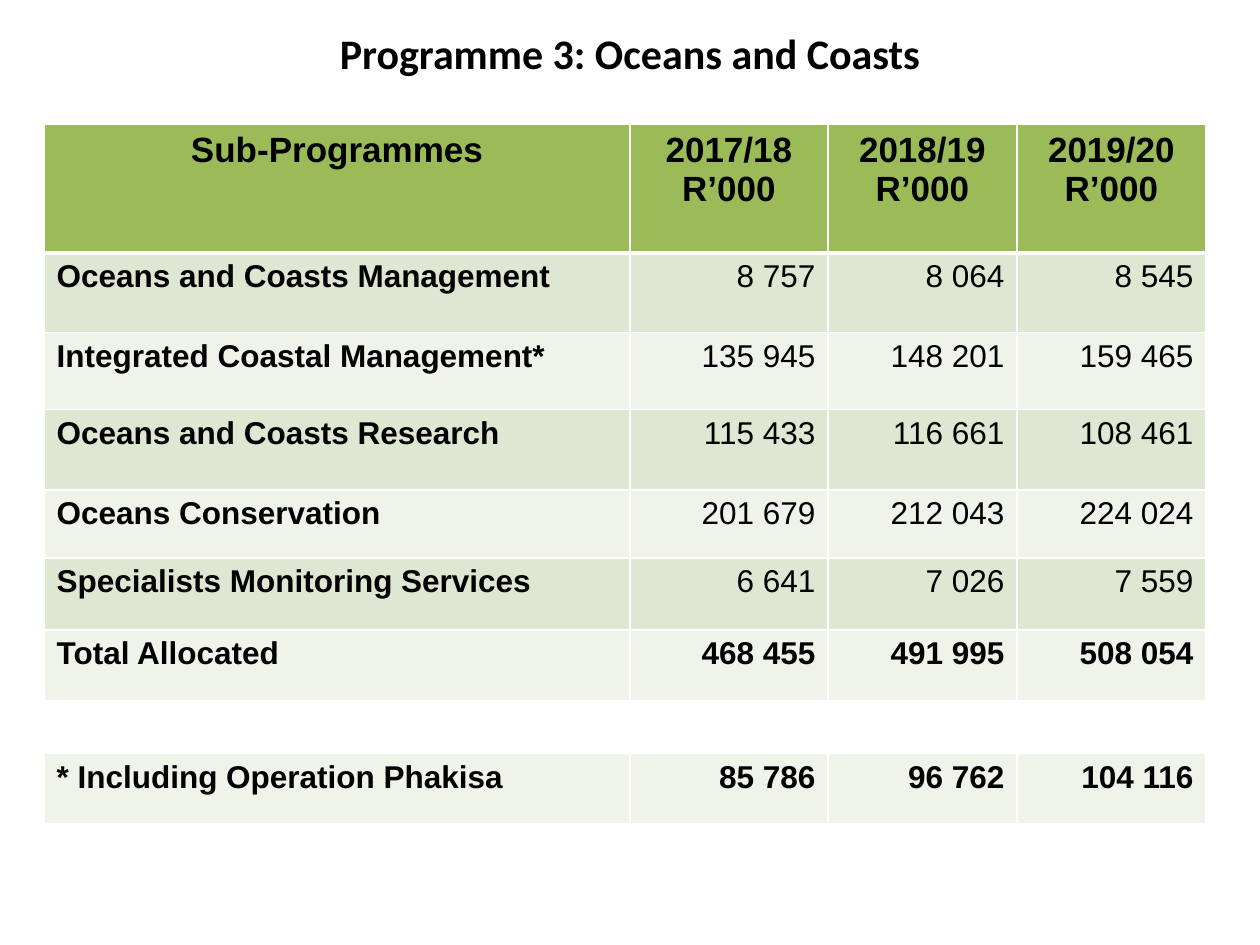
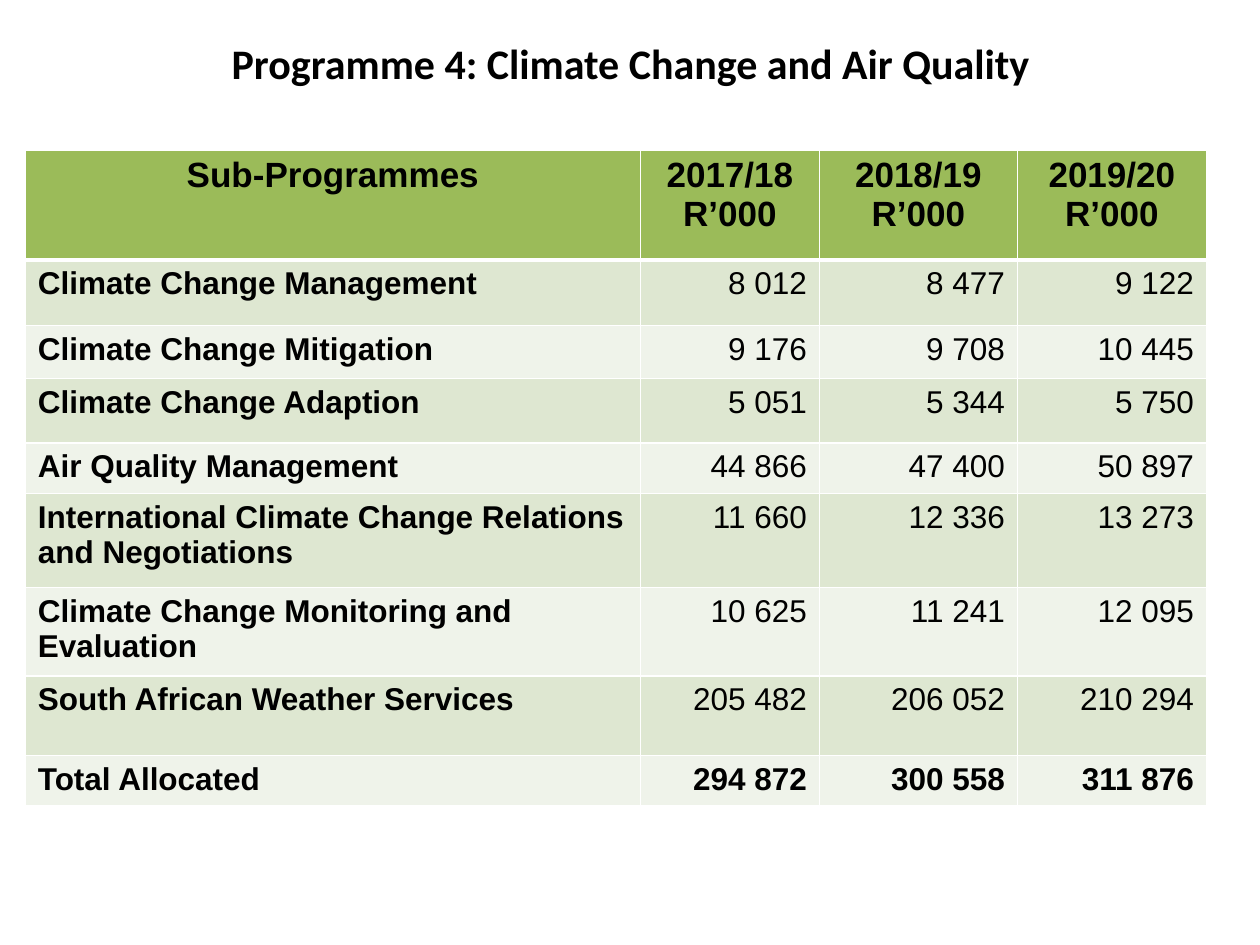
"""Build two budget slides, each with a title and a table of sub-programmes."""
from dataclasses import dataclass

from lxml.etree import SubElement
from pptx import Presentation
from pptx.dml.color import RGBColor as Rgb
from pptx.enum.text import MSO_ANCHOR as Anchor, PP_ALIGN as Align
from pptx.oxml.ns import qn
from pptx.util import Cm, Pt

HUES = {
    "text": "000000",
    "head": "9BBB59",
    "odd": "DEE7D1",
    "even": "EFF3EA",
    "white": "FFFFFF",
}
YEARS = ("2017/18", "2018/19", "2019/20")
UNIT = "R’000"


@dataclass(frozen=True)
class Row:
    high: float
    label: str = ""
    sums: tuple[str, ...] = ("",) * len(YEARS)
    bold: bool = False


@dataclass(frozen=True)
class Page:
    title: str
    box: tuple[float, float, float, float]
    left: float
    top: float
    cols: tuple[float, ...]
    head: float
    rows: tuple[Row, ...]


PAGES = (
    Page(
        "Programme 3: Oceans and Coasts",
        (1.27, 0, 22.86, 2.13), 0.89, 2.51, (11.81, 3.99, 3.81, 3.81), 2.59,
        (
            Row(1.6, "Oceans and Coasts Management", ("8 757", "8 064", "8 545")),
            Row(1.55, "Integrated Coastal Management*", ("135 945", "148 201", "159 465")),
            Row(1.63, "Oceans and Coasts Research", ("115 433", "116 661", "108 461")),
            Row(1.37, "Oceans Conservation", ("201 679", "212 043", "224 024")),
            Row(1.45, "Specialists Monitoring Services", ("6 641", "7 026", "7 559")),
            Row(1.42, "Total Allocated", ("468 455", "491 995", "508 054"), True),
            Row(1.07),
            Row(1.42, "* Including Operation Phakisa", ("85 786", "96 762", "104 116"), True),
        ),
    ),
    Page(
        "Programme 4: Climate Change and Air Quality",
        (0.51, 0, 24.41, 2.51), 0.51, 3.02, (12.4, 3.61, 3.99, 3.81), 2.22,
        (
            Row(1.32, "Climate Change Management", ("8 012", "8 477", "9 122")),
            Row(1.07, "Climate Change Mitigation", ("9 176", "9 708", "10 445")),
            Row(1.3, "Climate Change Adaption", ("5 051", "5 344", "5 750")),
            Row(0.99, "Air Quality Management", ("44 866", "47 400", "50 897")),
            Row(1.9, "International Climate Change Relations and Negotiations",
                ("11 660", "12 336", "13 273")),
            Row(1.68, "Climate Change Monitoring and Evaluation",
                ("10 625", "11 241", "12 095")),
            Row(1.6, "South African Weather Services", ("205 482", "206 052", "210 294")),
            Row(0.99, "Total Allocated", ("294 872", "300 558", "311 876"), True),
        ),
    ),
)


def write(frame, text: str, size: int, bold: bool, align: Align, face: str = "Arial") -> None:
    frame.text = text
    for para in frame.paragraphs:
        para.alignment = align
        font = para.font
        font.name, font.size, font.bold = face, Pt(size), bold
        font.color.rgb = Rgb.from_string(HUES["text"])


def paint(cell, hue: str, base: int = 1) -> None:
    props = cell._tc.get_or_add_tcPr()
    for side, wide in (("L", 1), ("R", 1), ("T", 1), ("B", base)):
        line = SubElement(props, qn(f"a:ln{side}"), w=str(Pt(wide)))
        fill = SubElement(line, qn("a:solidFill"))
        SubElement(fill, qn("a:srgbClr"), val=HUES["white"])
    cell.fill.solid()
    cell.fill.fore_color.rgb = Rgb.from_string(HUES[hue])


def add_title(slide, page: Page) -> None:
    frame = slide.shapes.add_textbox(*map(Cm, page.box)).text_frame
    frame.word_wrap = True
    frame.vertical_anchor = Anchor.MIDDLE
    write(frame, page.title, 24, True, Align.CENTER, "Calibri")


def add_grid(slide, page: Page) -> None:
    highs = [page.head, *(row.high for row in page.rows)]
    table = slide.shapes.add_table(
        len(highs), len(page.cols), Cm(page.left), Cm(page.top),
        Cm(sum(page.cols)), Cm(sum(highs)),
    ).table
    table.first_row = table.horz_banding = False
    for col, wide in zip(table.columns, page.cols):
        col.width = Cm(wide)
    for line, high in zip(table.rows, highs):
        line.height = Cm(high)

    heads = ["Sub-Programmes", *(f"{year}\n{UNIT}" for year in YEARS)]
    for col, text in enumerate(heads):
        cell = table.cell(0, col)
        write(cell.text_frame, text, 20, True, Align.CENTER)
        paint(cell, "head", 3)
    for num, row in enumerate(page.rows, 1):
        hue = ("odd" if num % 2 else "even") if row.label else "white"
        for col, text in enumerate((row.label, *row.sums)):
            cell = table.cell(num, col)
            align = Align.RIGHT if col else Align.LEFT
            write(cell.text_frame, text, 18, row.bold or col == 0, align)
            paint(cell, hue)


def main() -> None:
    deck = Presentation()
    deck.slide_width, deck.slide_height = Cm(25.4), Cm(19.05)
    for page in PAGES:
        slide = deck.slides.add_slide(deck.slide_layouts[6])
        add_title(slide, page)
        add_grid(slide, page)
    deck.save("out.pptx")


if __name__ == "__main__":
    main()
